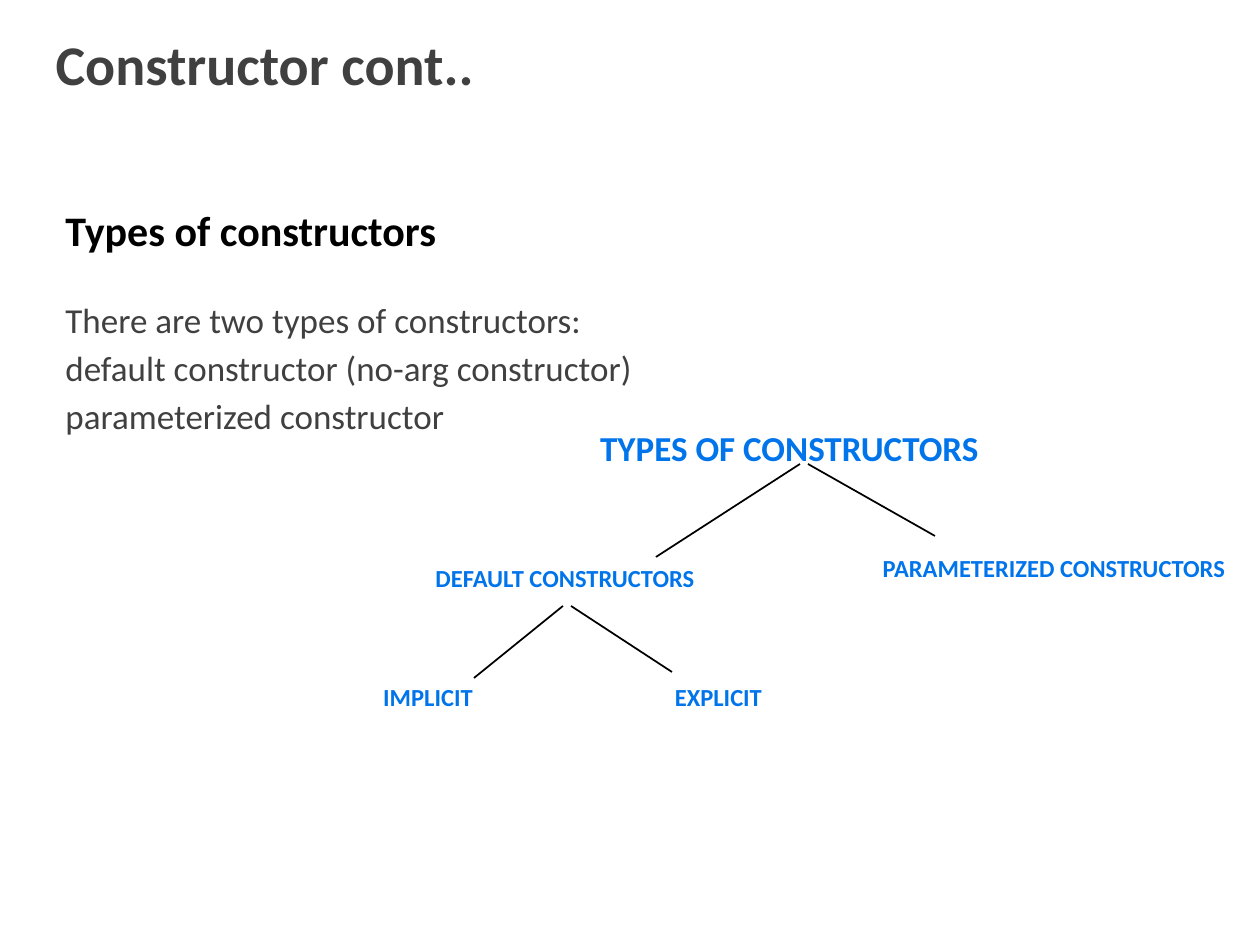
import pptx
import pptx.util
import pptx.dml.color
import pptx.enum.text
import pptx.enum.shapes
import pptx.oxml.ns
import lxml.etree

PX = 914400 // 126  # 126 px to the inch
Pt = pptx.util.Pt
ALIGN = pptx.enum.text.PP_ALIGN
BLUE, GREY, BLACK = "0074EA", "404040", "000000"


def color(text):
    return pptx.dml.color.RGBColor.from_string(text)


def write(para, text, size, tint, bold, align):
    para.text = text
    para.alignment = align
    look = {"name": "Calibri", "size": Pt(size), "bold": bold}
    for key, value in look.items():
        setattr(para.runs[0].font, key, value)
    para.runs[0].font.color.rgb = color(tint)


deck = pptx.Presentation()
deck.slide_width, deck.slide_height = 1260 * PX, 945 * PX
slide = deck.slides.add_slide(deck.slide_layouts[5])

# Title
title = slide.shapes.title
place = {"left": 43, "top": 21, "width": 914, "height": 84}
for key, value in place.items():
    setattr(title, key, value * PX)
title.text_frame.vertical_anchor = pptx.enum.text.MSO_ANCHOR.MIDDLE
write(title.text_frame.paragraphs[0], "Constructor cont..", 32, GREY, True, ALIGN.LEFT)

# Body: text, size, colour, bold, space before
lines = [
    ("Types of constructors", 24, BLACK, True, 0),
    ("There are two types of constructors:", 20, GREY, False, 25),
    ("default constructor (no-arg constructor)", 20, GREY, False, 3.6),
    ("parameterized constructor", 20, GREY, False, 3.6),
]
body = slide.shapes.add_textbox(53 * PX, 198 * PX, 1090 * PX, 489 * PX)
frame = body.text_frame
frame.word_wrap = True
for i, (text, size, tint, bold, gap) in enumerate(lines):
    para = frame.add_paragraph() if i else frame.paragraphs[0]
    write(para, text, size, tint, bold, ALIGN.LEFT)
    para.space_before = Pt(gap)

# Tree labels: text, size, left, top, width, height
labels = [
    ("TYPES OF CONSTRUCTORS", 20, 586, 420, 407, 55),
    ("DEFAULT CONSTRUCTORS", 14, 422, 557, 286, 43),
    ("PARAMETERIZED CONSTRUCTORS", 14, 868, 547, 372, 43),
    ("IMPLICIT", 14, 370, 676, 116, 43),
    ("EXPLICIT", 14, 662, 676, 113, 43),
]
for text, size, *box in labels:
    label = slide.shapes.add_textbox(*[n * PX for n in box])
    label.text_frame.word_wrap = False
    write(label.text_frame.paragraphs[0], text, size, BLUE, True, ALIGN.CENTER)

# Tree branches: from x, y to x, y
branches = [
    (800, 464, 656, 557),
    (808, 464, 935, 536),
    (563, 606, 474, 678),
    (571, 606, 672, 672),
]
for ends in branches:
    line = slide.shapes.add_connector(
        pptx.enum.shapes.MSO_CONNECTOR.STRAIGHT, *[n * PX for n in ends])
    line.line.color.rgb = color(BLACK)
    line.line.width = Pt(1)
    lxml.etree.SubElement(line._element.spPr, pptx.oxml.ns.qn("a:effectLst"))

deck.save("out.pptx")
